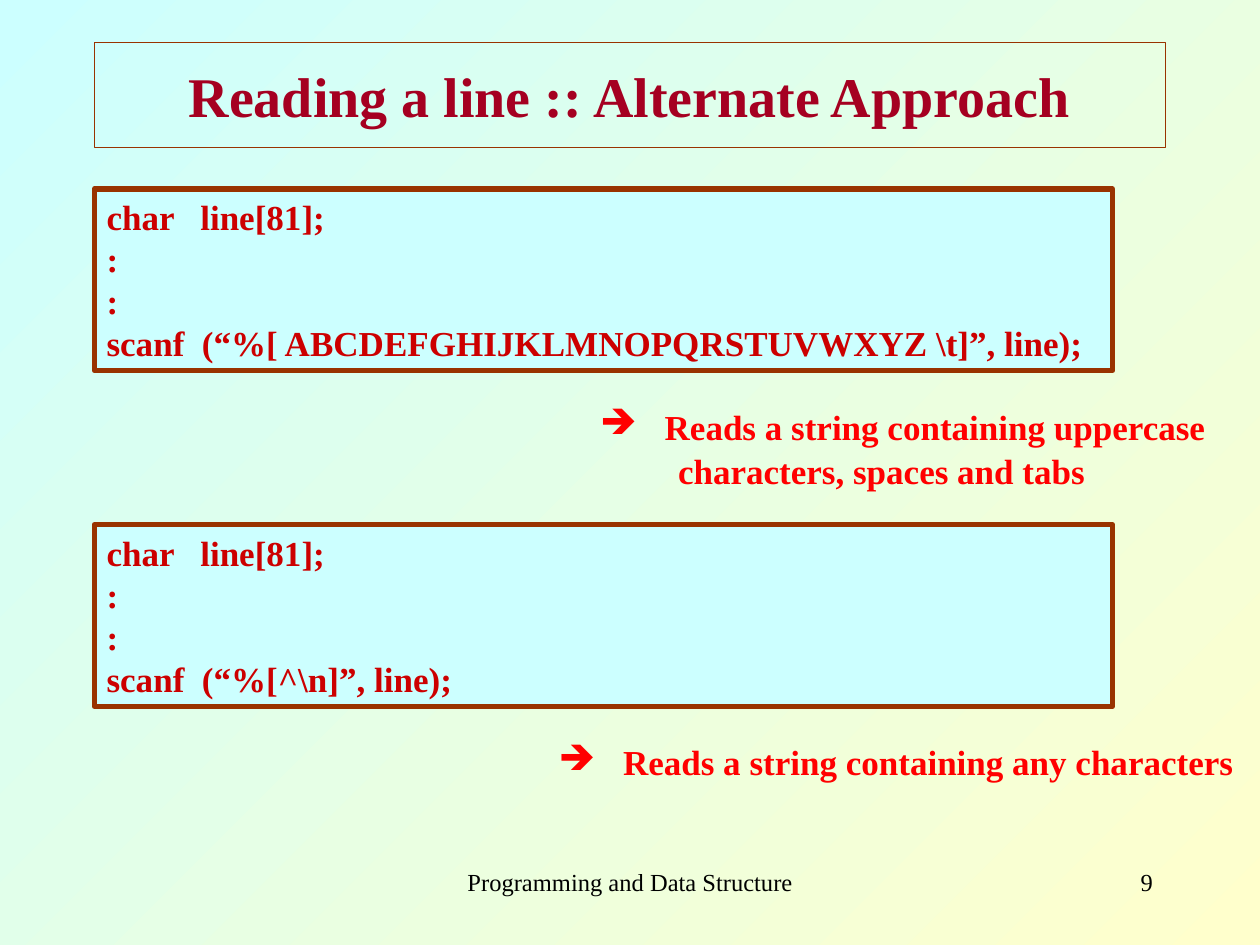
from dataclasses import dataclass

from lxml.etree import SubElement
from pptx import Presentation
from pptx.dml.color import RGBColor
from pptx.enum.shapes import MSO_SHAPE
from pptx.enum.text import MSO_ANCHOR, PP_ALIGN
from pptx.oxml.ns import qn
from pptx.util import Cm, Pt


@dataclass(frozen=True)
class Theme:
    font: str = "Times New Roman"
    title_size: int = 32
    body_size: int = 20
    footer_size: int = 14
    sky: str = "CCFFFF"
    cream: str = "FFFFCC"
    border: str = "993300"
    title: str = "A50021"
    code: str = "CC0000"
    note: str = "FF0000"
    footer: str = "000000"


THEME = Theme()
LEFT = Cm(1.9)
BULLET_INDENT = Cm(1.3)
CONTINUED_INDENT = Cm(1.57)


def color(name):
    return RGBColor.from_string(getattr(THEME, name))


def add_span(para, text, size, color_name, bold=True):
    span = para.add_run()
    span.text = text
    span.font.name = THEME.font
    span.font.size = Pt(size)
    span.font.bold = bold
    span.font.color.rgb = color(color_name)


def paragraphs(frame, count):
    """Return the frame's first paragraph and as many new ones as needed."""
    return [frame.paragraphs[0]] + [frame.add_paragraph() for _ in range(count - 1)]


def set_indent(para, margin, first_line=0):
    properties = para._p.get_or_add_pPr()
    properties.set("marL", str(margin))
    properties.set("indent", str(first_line))
    return properties


def add_arrow_bullet(para):
    properties = set_indent(para, BULLET_INDENT, -BULLET_INDENT)
    bullet_color = SubElement(properties, qn("a:buClr"))
    SubElement(bullet_color, qn("a:srgbClr"), val=THEME.note)
    SubElement(properties, qn("a:buChar"), char="➔")


def paint_background(page):
    fill = page.background.fill
    fill.gradient()
    fill.gradient_angle = 315
    for stop, name in zip(fill.gradient_stops, ("sky", "cream")):
        stop.color.rgb = color(name)


def place_title(page, text, left, top, width, height):
    title = page.shapes.title
    title.left, title.top, title.width, title.height = left, top, width, height
    title.line.color.rgb = color("border")
    title.line.width = Pt(0.75)
    title.text_frame.vertical_anchor = MSO_ANCHOR.MIDDLE
    para = title.text_frame.paragraphs[0]
    para.alignment = PP_ALIGN.CENTER
    add_span(para, text, THEME.title_size, "title")


def add_code_box(page, lines, left, top, width, height):
    box = page.shapes.add_shape(MSO_SHAPE.RECTANGLE, left, top, width, height)
    box.shadow.inherit = False
    box.fill.solid()
    box.fill.fore_color.rgb = color("sky")
    box.line.color.rgb = color("border")
    box.line.width = Pt(3)
    frame = box.text_frame
    frame.word_wrap = True
    frame.vertical_anchor = MSO_ANCHOR.TOP
    for para, line in zip(paragraphs(frame, len(lines)), lines):
        para.alignment = PP_ALIGN.LEFT
        add_span(para, line, THEME.body_size, "code")


def add_note(page, lines, left, top, width, height):
    """Add a remark whose first line has an arrow and whose others are indented."""
    frame = page.shapes.add_textbox(left, top, width, height).text_frame
    frame.word_wrap = True
    for index, para in enumerate(paragraphs(frame, len(lines))):
        para.space_before = Pt(1.2)
        if index == 0:
            add_arrow_bullet(para)
        else:
            set_indent(para, CONTINUED_INDENT)
        add_span(para, lines[index], THEME.body_size, "note")


def add_footer(page, text, alignment, left, top, width, height):
    frame = page.shapes.add_textbox(left, top, width, height).text_frame
    frame.word_wrap = True
    para = frame.paragraphs[0]
    para.alignment = alignment
    add_span(para, text, THEME.footer_size, "footer", bold=False)


def add_example(page, call, note, note_left, top):
    """Add a code box ending in the given call, with its remark below."""
    lines = ["char   line[81];", ":", ":", call]
    add_code_box(page, lines, LEFT, top, Cm(20.53), Cm(3.66))
    note_height = Cm(1.12) + Cm(0.89) * (len(note) - 1)
    add_note(page, note, note_left, top + Cm(4.23),
             Cm(25.4) - note_left, note_height)


def main():
    deck = Presentation()
    deck.slide_width, deck.slide_height = Cm(25.4), Cm(19.05)
    page = deck.slides.add_slide(deck.slide_layouts.get_by_name("Title Only"))
    paint_background(page)

    footer_top, footer_height = Cm(17.36), Cm(1.27)
    add_footer(page, "Programming and Data Structure", PP_ALIGN.CENTER,
               Cm(8.68), footer_top, Cm(8.05), footer_height)
    add_footer(page, "9", PP_ALIGN.RIGHT,
               Cm(18.2), footer_top, Cm(5.29), footer_height)

    place_title(page, "Reading a line :: Alternate Approach",
                LEFT, Cm(0.85), Cm(21.59), Cm(2.12))
    add_example(page, "scanf  (“%[ ABCDEFGHIJKLMNOPQRSTUVWXYZ \\t]”, line);",
                ["Reads a string containing uppercase",
                 "characters, spaces and tabs"], Cm(11.85), Cm(3.81))
    add_example(page, "scanf  (“%[^\\n]”, line);",
                ["Reads a string containing any characters"],
                Cm(11.01), Cm(10.58))
    deck.save("out.pptx")


if __name__ == "__main__":
    main()
